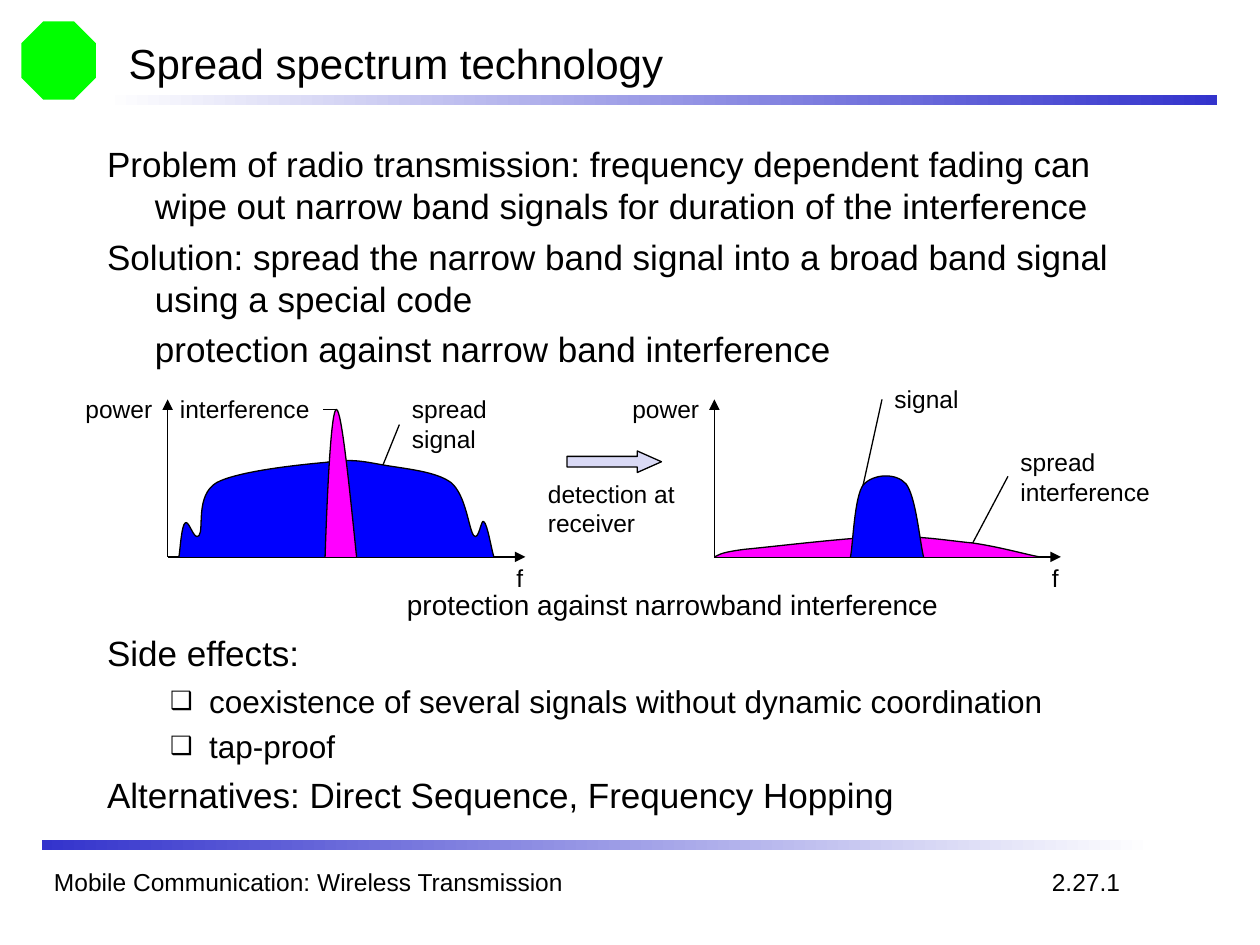
from lxml.etree import SubElement
from pptx import Presentation
from pptx.dml.color import RGBColor
from pptx.enum.shapes import MSO_CONNECTOR, MSO_SHAPE
from pptx.enum.text import MSO_ANCHOR, MSO_AUTO_SIZE, PP_ALIGN
from pptx.oxml.ns import qn
from pptx.util import Inches, Pt

COLORS = {"text": "000000", "bar": "3333CC", "paper": "FFFFFF", "emblem": "00FF00",
          "signal": "0000FF", "interference": "FF00FF", "arrow": "DADAF6"}

# Outlines: start point, then cubic segments, in inches right of and above the axis origin
SPREAD_SIGNAL = [
    (0.09, 0), (0.10, 0.05), (0.11, 0.25), (0.14, 0.27), (0.17, 0.30), (0.21, 0.12), (0.25, 0.17),
    (0.29, 0.22), (0.22, 0.49), (0.39, 0.59), (0.56, 0.68), (1.03, 0.73), (1.25, 0.75),
    (1.47, 0.78), (1.54, 0.76), (1.71, 0.73), (1.88, 0.70), (2.13, 0.68), (2.25, 0.59),
    (2.37, 0.49), (2.39, 0.22), (2.43, 0.17), (2.47, 0.12), (2.49, 0.31), (2.51, 0.28),
    (2.54, 0.26), (2.57, 0.06), (2.59, 0)]
NARROW_INTERFERENCE = [(1.25, 0), (1.27, 0.59), (1.30, 1.17), (1.34, 1.17),
                       (1.38, 1.17), (1.44, 0.59), (1.50, 0)]
SPREAD_INTERFERENCE = [
    (0, 0), (0.04, 0.01), (0.01, 0.03), (0.24, 0.06), (0.46, 0.08), (1.03, 0.15), (1.33, 0.16),
    (1.63, 0.17), (1.84, 0.13), (2.05, 0.11), (2.26, 0.08), (2.47, 0.02), (2.58, 0)]
NARROW_SIGNAL = [
    (1.08, 0), (1.10, 0.10), (1.11, 0.47), (1.18, 0.57), (1.26, 0.66), (1.44, 0.67), (1.52, 0.58),
    (1.60, 0.48), (1.63, 0.12), (1.66, 0)]


def rgb(name):
    return RGBColor.from_string(COLORS[name])


def format_text(para, size):
    for span in para.runs:
        span.font.name = "Arial"
        span.font.size = Pt(size)
        span.font.color.rgb = rgb("text")


def paint(shape, fill, outlined=True):
    shape.shadow.inherit = False
    shape.fill.solid()
    shape.fill.fore_color.rgb = rgb(fill)
    if outlined:
        shape.line.color.rgb = rgb("text")
        shape.line.width = Pt(0.75)
    else:
        shape.line.fill.background()


def add_label(page, text, left, top, width, height=0.34, wrap=False):
    box = page.shapes.add_textbox(Inches(left), Inches(top), Inches(width), Inches(height))
    box.text_frame.word_wrap = wrap
    box.text_frame.text = text
    for para in box.text_frame.paragraphs:
        format_text(para, 14)


def add_line(page, start, end, arrow=False):
    line = page.shapes.add_connector(MSO_CONNECTOR.STRAIGHT, *map(Inches, start + end))
    line.line.color.rgb = rgb("text")
    line.line.width = Pt(0.75)
    if arrow:
        SubElement(line.line._get_or_add_ln(), qn("a:tailEnd"), type="triangle")
    SubElement(line._element.spPr, qn("a:effectLst"))


def add_curve(page, points, fill):
    """Open filled outline; every three points after the first make a cubic segment."""
    points = [tuple(map(Inches, point)) for point in points]
    builder = page.shapes.build_freeform(*points[0], scale=1.0)
    builder.add_line_segments(points[1:], close=False)
    curve = builder.convert_to_shape()
    outline = next(curve._element.iter(qn("a:path")))
    straight = outline.findall(qn("a:lnTo"))
    for first in range(0, len(straight), 3):
        segment = SubElement(outline, qn("a:cubicBezTo"))
        for line in straight[first:first + 3]:
            segment.append(line[0])
            outline.remove(line)
    paint(curve, fill)


def add_spectrum(page, left, base, length, curves, leaders, labels):
    """Power over frequency, with its origin at (left, base)."""
    def place(point):
        return left + point[0], base - point[1]

    add_line(page, place((0, 0)), place((length, 0)), arrow=True)
    add_line(page, place((0, 0)), place((0, 1.25)), arrow=True)
    for outline, fill in curves:
        add_curve(page, [place(point) for point in outline], fill)
    for start, end in leaders:
        add_line(page, place(start), place(end))
    axis_labels = [("power", (-0.75, 1.34), 0.73, 0.34, False),
                   ("f", (length - 0.17, 0), 0.25, 0.34, False)]
    for text, point, width, height, wrap in axis_labels + labels:
        add_label(page, text, *place(point), width, height, wrap)


def add_detection_step(page, left, top):
    arrow = page.shapes.add_shape(MSO_SHAPE.RIGHT_ARROW, Inches(left + 0.25), Inches(top),
                                  Inches(0.75), Inches(0.17))
    arrow.adjustments[0], arrow.adjustments[1] = 0.5, 1.126
    paint(arrow, "arrow")
    add_label(page, "detection at\nreceiver", left, top + 0.17, 1.21, 0.57)


def add_gradient_bar(page, left, top, start, end):
    bar = page.shapes.add_shape(MSO_SHAPE.RECTANGLE, Inches(left), Inches(top),
                                Inches(8.83), Inches(0.08))
    bar.shadow.inherit = False
    bar.line.fill.background()
    bar.fill.gradient()
    bar.fill.gradient_angle = 0
    for stop, name in zip(bar.fill.gradient_stops, (start, end)):
        stop.color.rgb = rgb(name)


def add_frame(page):
    """Emblem, the two bars and the footer."""
    emblem = page.shapes.add_shape(MSO_SHAPE.OCTAGON, Inches(0.17), Inches(0.17),
                                   Inches(0.59), Inches(0.62))
    paint(emblem, "emblem", outlined=False)
    add_gradient_bar(page, 0.83, 0.75, "paper", "bar")
    add_gradient_bar(page, 0.33, 6.67, "bar", "paper")
    add_label(page, "Mobile Communication: Wireless Transmission", 0.33, 6.83, 4.92, wrap=True)
    add_label(page, "2.27.1", 8.25, 6.83, 0.74)


def place_box(box, left, top, width, height, anchor):
    box.left, box.top, box.width, box.height = map(Inches, (left, top, width, height))
    box.text_frame.auto_size = MSO_AUTO_SIZE.NONE
    box.text_frame.vertical_anchor = anchor


def fill_title(box):
    place_box(box, 0.92, 0.25, 8.5, 0.5, MSO_ANCHOR.MIDDLE)
    box.text_frame.text = "Spread spectrum technology"
    para = box.text_frame.paragraphs[0]
    para.alignment = PP_ALIGN.LEFT
    format_text(para, 24)


def set_bullet(para, margin, indent, bullet):
    properties = para._p.get_or_add_pPr()
    properties.set("marL", str(Inches(margin)))
    properties.set("indent", str(Inches(indent)))
    if bullet:
        color = SubElement(properties, qn("a:buClr"))
        SubElement(color, qn("a:srgbClr"), val=COLORS["text"])
        SubElement(properties, qn("a:buSzPct"), val="80000")
        SubElement(properties, qn("a:buFont"), typeface="Arial")
        SubElement(properties, qn("a:buChar"), char="❑")
    else:
        SubElement(properties, qn("a:buNone"))


def fill_body(box):
    place_box(box, 0.75, 1.08, 8.5, 5.58, MSO_ANCHOR.TOP)
    # style: level, size, space before, margin, indent, bullet
    plain = (0, 20, 5, 0.38, -0.38, False)
    inset = (0, 20, 5, 0.38, 0, False)
    caption = (0, 16, 124.4, 2.38, 0, False)
    item = (1, 18, 4.5, 0.81, -0.31, True)
    lines = [
        ("Problem of radio transmission: frequency dependent fading can wipe out "
         "narrow band signals for duration of the interference", plain),
        ("Solution: spread the narrow band signal into a broad band signal "
         "using a special code", plain),
        ("protection against narrow band interference", inset),
        ("protection against narrowband interference", caption),
        ("Side effects:", plain),
        ("coexistence of several signals without dynamic coordination", item),
        ("tap-proof", item),
        ("Alternatives: Direct Sequence, Frequency Hopping", plain)]
    box.text_frame.text = "\n".join(text for text, style in lines)
    for para, (text, style) in zip(box.text_frame.paragraphs, lines):
        level, size, before, margin, indent, bullet = style
        para.level = level
        para.space_before = Pt(before)
        para.space_after = Pt(1 if style is caption else 0)
        set_bullet(para, margin, indent, bullet)
        format_text(para, size)


def main():
    deck = Presentation()
    deck.slide_width, deck.slide_height = Inches(10), Inches(7.5)
    page = deck.slides.add_slide(deck.slide_layouts[1])
    add_frame(page)
    fill_title(page.shapes.title)
    fill_body(page.placeholders[1])
    add_spectrum(page, 1.33, 4.42, 2.84,
                 [(SPREAD_SIGNAL, "signal"), (NARROW_INTERFERENCE, "interference")],
                 [((1.34, 1.17), (1.23, 1.17)), ((1.71, 0.73), (1.84, 1.05))],
                 [("interference", (0, 1.34), 1.23, 0.34, False),
                  ("spread signal", (1.84, 1.34), 1.32, 0.57, True)])
    add_spectrum(page, 5.67, 4.42, 2.75,
                 [(SPREAD_INTERFERENCE, "interference"), (NARROW_SIGNAL, "signal")],
                 [((1.33, 1.25), (1.18, 0.57)), ((2.33, 0.64), (2.05, 0.11))],
                 [("signal", (1.33, 1.42), 0.71, 0.34, False),
                  ("spread\ninterference", (2.33, 0.92), 1.43, 0.57, True)])
    add_detection_step(page, 4.25, 3.58)
    deck.save("out.pptx")


if __name__ == "__main__":
    main()
